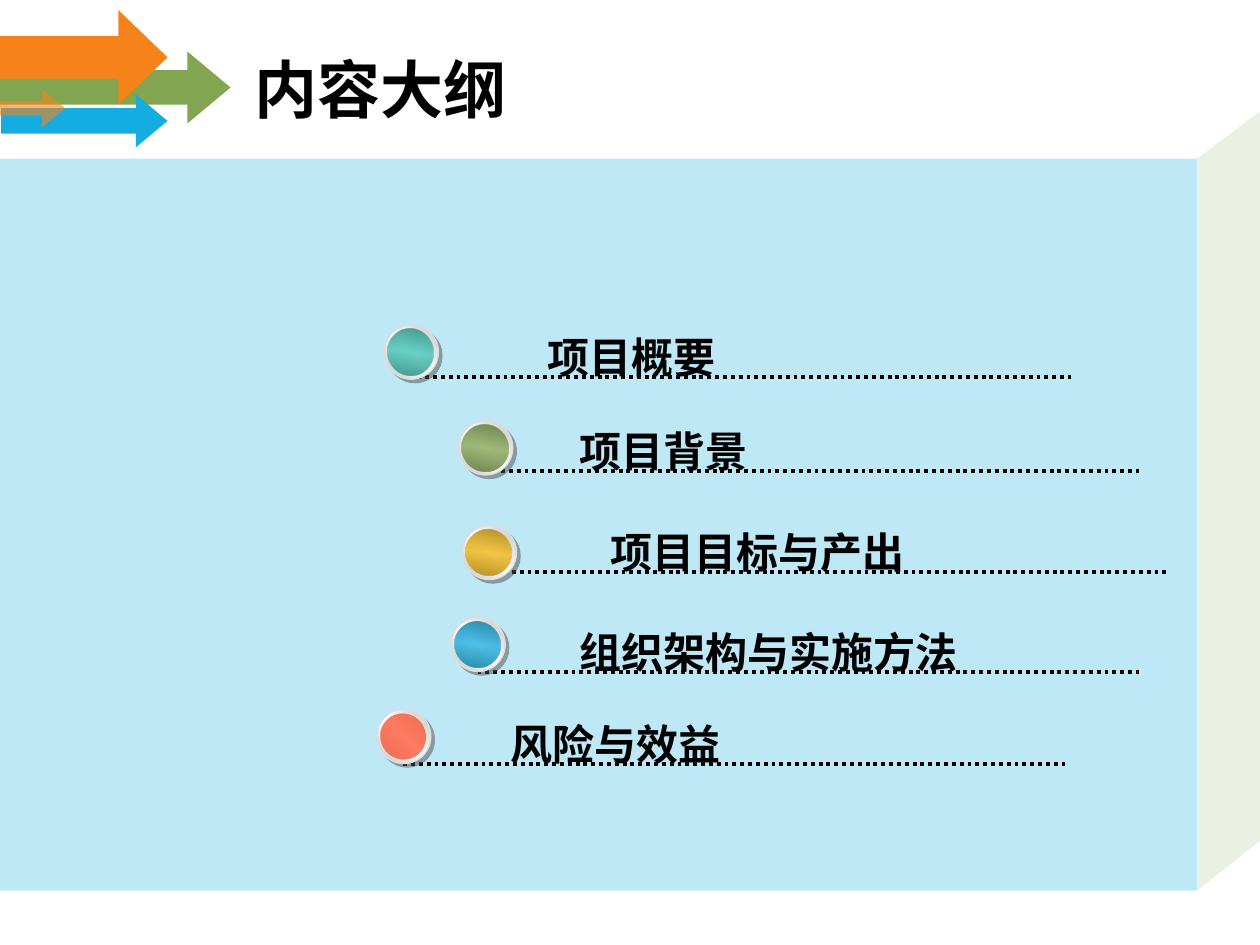
from lxml.etree import SubElement as Sub
from pptx import Presentation
from pptx.dml.color import RGBColor as Rgb
from pptx.enum.dml import MSO_LINE as Dash
from pptx.enum.shapes import MSO_CONNECTOR as Link, MSO_SHAPE as Kind
from pptx.enum.text import MSO_ANCHOR as Anchor
from pptx.oxml.ns import qn
from pptx.util import Inches, Pt

FONT = "Noto Sans CJK SC"
BLACK = Rgb(0x00, 0x00, 0x00)
WHITE = Rgb(0xFF, 0xFF, 0xFF)
GREEN = Rgb(0x81, 0xA5, 0x51)
ORANGE = Rgb(0xF6, 0x83, 0x1A)
BLUE = Rgb(0x15, 0xAC, 0xE1)
SILVER = Rgb(0xC3, 0xC3, 0xC3)
RIM = Rgb(0xDD, 0xDD, 0xDD)
SHADE = Rgb(0x4D, 0x4D, 0x4D)
TEAL = Rgb(0x3C, 0xC2, 0xB5)
GOLD = Rgb(0xF1, 0xB5, 0x0D)
RED = Rgb(0xFB, 0x4F, 0x2D)
DARK_TEAL = Rgb(0x26, 0x7B, 0x73)
DARK_GREEN = Rgb(0x52, 0x68, 0x33)
DARK_GOLD = Rgb(0x98, 0x73, 0x08)
DARK_BLUE = Rgb(0x0D, 0x6D, 0x8E)

ITEMS = [
    ("项目概要", 4.25, 2.58, 3.25, 3.05, 2.58, TEAL, DARK_TEAL),
    ("项目背景", 4.5, 3.33, 3.79, 3.64, 3.34, GREEN, DARK_GREEN),
    ("项目目标与产出", 4.75, 4.13, 4, 3.67, 4.17, GOLD, DARK_GOLD),
    ("组织架构与实施方法", 4.5, 4.92, 3.79, 3.58, 4.9, BLUE, DARK_BLUE),
    ("风险与效益", 3.95, 5.65, 3.2, 2.99, 5.63, RED, None),
]


def add_tint(parent, color, alpha):
    tint = Sub(parent, qn("a:srgbClr"), val=str(color))
    Sub(tint, qn("a:alpha"), val=str(alpha * 1000))


def paint(shape, color, alpha=100):
    shape.shadow.inherit = False
    shape.line.fill.background()
    shape.fill.solid()
    shape.fill.fore_color.rgb = color
    if alpha < 100:
        tint = shape.element.spPr.find(qn("a:solidFill")).find(qn("a:srgbClr"))
        Sub(tint, qn("a:alpha"), val=str(alpha * 1000))


def blend(shape, edge, mid, ends=100, center=100):
    shape.fill.gradient()
    shape.fill.gradient_angle = 45
    stops = shape.element.spPr.find(qn("a:gradFill")).find(qn("a:gsLst"))
    for stop in list(stops):
        stops.remove(stop)
    for pos, color, alpha in ((0, edge, ends), (50, mid, center), (100, edge, ends)):
        add_tint(Sub(stops, qn("a:gs"), pos=str(pos * 1000)), color, alpha)


def add_shape(shapes, kind, left, top, width, height):
    return shapes.add_shape(kind, Inches(left), Inches(top), Inches(width), Inches(height))


def add_text(slide, text, left, top, width, height, size, anchor=Anchor.TOP):
    box = slide.shapes.add_textbox(Inches(left), Inches(top), Inches(width), Inches(height))
    frame = box.text_frame
    frame.word_wrap = True
    frame.vertical_anchor = anchor
    line = frame.paragraphs[0]
    line.text = text
    font = line.font
    font.name, font.size, font.bold = FONT, Pt(size), True
    font.color.rgb = BLACK
    Sub(line._p.pPr.find(qn("a:defRPr")), qn("a:ea"), typeface=FONT)


def add_panel(slide, left, top, width, height):
    right, low = left + width, top + height
    edge = slide.shapes.build_freeform(Inches(right), Inches(top))
    corners = [(right + 0.56, top - 0.42), (right + 0.53, low - 0.42), (right, low)]
    edge.add_line_segments([(Inches(x), Inches(y)) for x, y in corners], close=True)
    paint(edge.convert_to_shape(), GREEN, 16)
    paint(add_shape(slide.shapes, Kind.RECTANGLE, left, top, width, height), BLUE, 27)


def add_arrows(slide, left, top):
    for x, y, width, height, shaft, head, color, alpha in (
        (0, 0.33, 1.83, 0.57, 0.48, 0.6, GREEN, 100),
        (0, 0, 1.33, 0.75, 0.45, 0.52, ORANGE, 100),
        (0.01, 0.67, 1.32, 0.42, 0.48, 0.6, BLUE, 100),
        (0, 0.63, 0.52, 0.3, 0.39, 0.62, ORANGE, 60),
    ):
        arrow = add_shape(slide.shapes, Kind.RIGHT_ARROW, left + x, top + y, width, height)
        arrow.adjustments[0], arrow.adjustments[1] = shaft, head
        paint(arrow, color, alpha)


def add_ball(slide, left, top, color, dark):
    group = slide.shapes.add_group_shape()
    ring = add_shape(group.shapes, Kind.OVAL, left, top, 0.43, 0.43)
    blend(ring, SILVER, WHITE)
    ring.line.color.rgb = RIM
    ring.line.width = Pt(0.75)
    ring.shadow.inherit = False
    cast = Sub(ring.element.spPr.find(qn("a:effectLst")), qn("a:outerShdw"),
               dist=str(Pt(2.8)), dir="2700000", algn="ctr", rotWithShape="0")
    add_tint(cast, SHADE, 50)
    core = add_shape(group.shapes, Kind.OVAL, left + 0.03, top + 0.03, 0.36, 0.37)
    core.rotation = 321.9
    paint(core, color, 75)
    if dark:
        blend(core, dark, color, 90, 75)


def add_rule(slide, left, top, width):
    rule = slide.shapes.add_connector(
        Link.STRAIGHT, Inches(left), Inches(top), Inches(left + width), Inches(top))
    rule.line.color.rgb = BLACK
    rule.line.width = Pt(2.25)
    rule.line.dash_style = Dash.ROUND_DOT
    Sub(rule.element.spPr, qn("a:effectLst"))


def add_item(slide, text, left, top, start, ball_x, ball_y, color, dark):
    add_rule(slide, start, top + 0.41, 5.25)
    add_text(slide, text, left, top, 3.89, 0.5, 24)
    add_ball(slide, ball_x, ball_y, color, dark)


def main():
    deck = Presentation()
    deck.slide_width, deck.slide_height = Inches(10), Inches(7.5)
    slide = deck.slides.add_slide(deck.slide_layouts[6])
    add_panel(slide, 0, 1.26, 9.5, 5.81)
    add_arrows(slide, 0, 0.08)
    add_text(slide, "内容大纲", 1.92, 0.11, 7.5, 1.18, 36, Anchor.MIDDLE)
    for item in ITEMS:
        add_item(slide, *item)
    deck.save("out.pptx")


if __name__ == "__main__":
    main()
